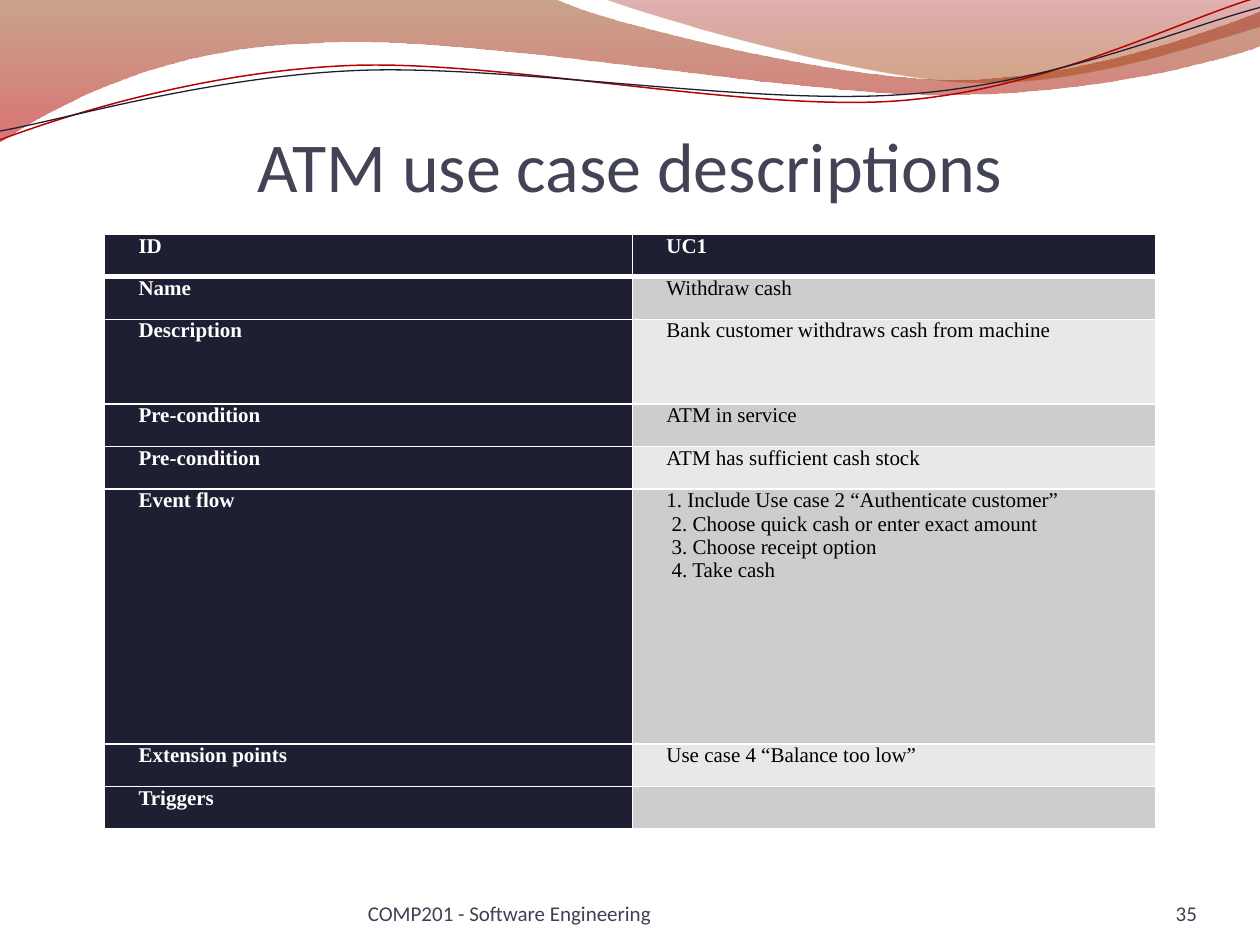
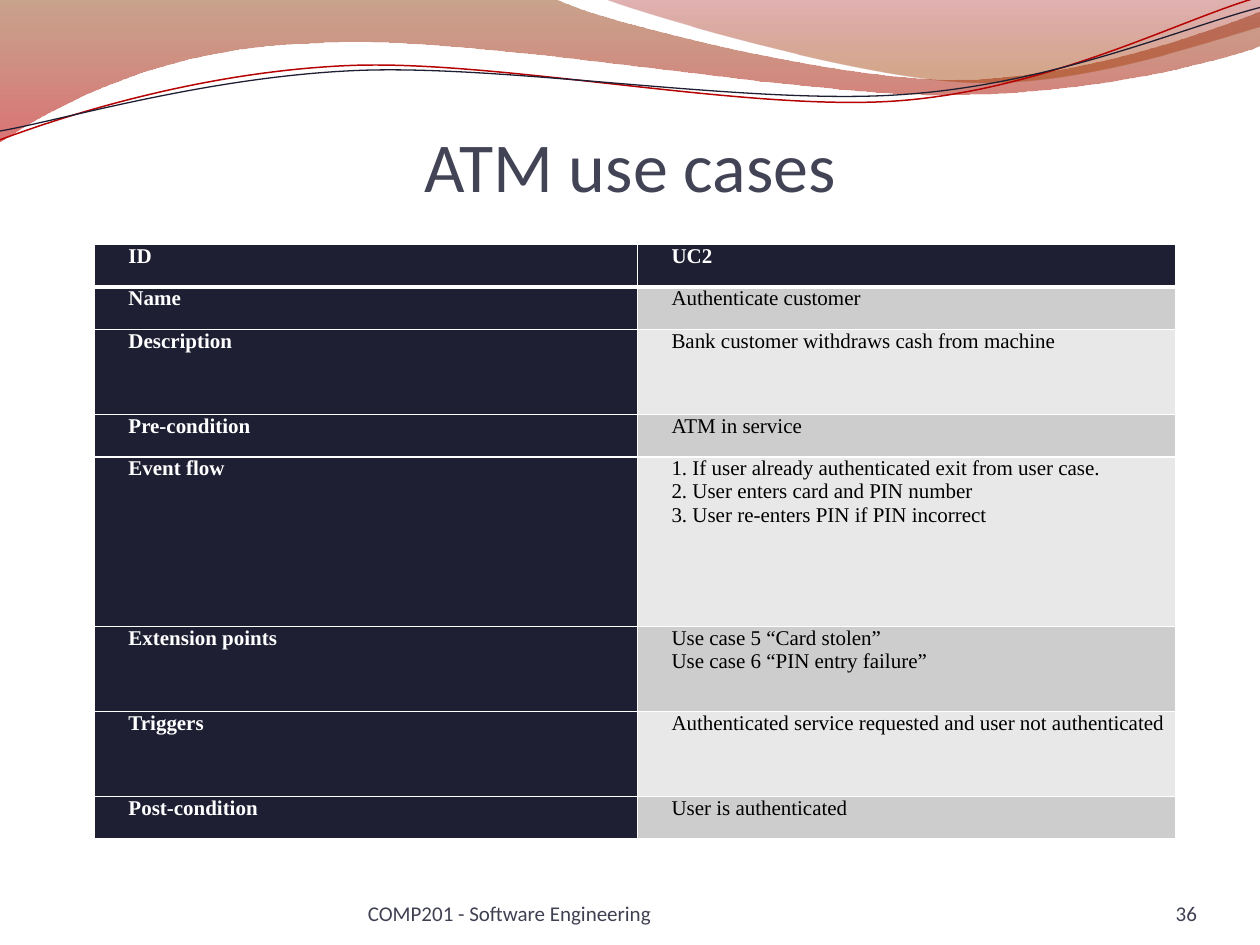
import math
from lxml import etree
from pptx import Presentation, util as u
from pptx.dml.color import RGBColor
from pptx.enum import text
from pptx.oxml.ns import qn

NAVY, WHITE, BLACK = "1F1F33", "FFFFFF", "000000"
TITLE, FOOTER = "424456", "3F4152"
BANDS = ["E8E8E8", "CDCDCE"]
HEAD, BODY = "Calibri", "Times New Roman"
LEFT, CENTER, RIGHT = text.PP_ALIGN.LEFT, text.PP_ALIGN.CENTER, text.PP_ALIGN.RIGHT
TABLE_HEIGHT = 4.72
TILT = 2.7

WAVES = [
    dict(start=(0, 0), stops=[(0, "883400", 45), (1, "BD0000", 55)], segments=[
        [(4.4, -0.01)],
        [(4.76, 0.17), (6.64, 0.63), (7.58, 0.63)],
        [(8.53, 0.63), (9.58, 0.26), (10, 0.09)],
        [(10.01, 0.36)],
        [(9.83, 0.44), (8.7, 0.76), (7.46, 0.75)],
        [(6.22, 0.75), (3.82, 0.28), (2.57, 0.34)],
        [(1.29, 0.36), (0.46, 0.83), (-0.01, 1.13)],
        [(0, 0)]]),
    dict(start=(4.79, -0.01), stops=[(0, "9A0000", 30), (0.8, "A23E00", 45)], segments=[
        [(5.09, 0.11), (6.82, 0.62), (7.69, 0.65)],
        [(8.56, 0.69), (9.61, 0.32), (10, 0.21)],
        [(10, 0)],
        [(4.79, -0.01)]]),
    dict(start=(0, 1.11), line=("B60202", 0.85), center=(4.99, 0.57), segments=[
        [(0.48, 0.93), (1.58, 0.57), (2.77, 0.52)],
        [(3.95, 0.47), (5.93, 0.89), (7.13, 0.8)],
        [(8.33, 0.71), (9.38, 0.15), (9.98, -0.02)]]),
    dict(start=(0, 1.04), line=(NAVY, 0.75), center=(5, 0.59), segments=[
        [(0.47, 0.96), (1.64, 0.61), (2.83, 0.56)],
        [(4.03, 0.51), (5.97, 0.84), (7.17, 0.75)],
        [(8.36, 0.67), (9.41, 0.21), (10, 0.06)]]),
]

SLIDES = [
    dict(title="ATM use case descriptions", number="35", at=(0.83, 1.86), cols=(4.19, 4.15), rows=[
        ("ID", "UC1", 1),
        ("Name", "Withdraw cash", 1),
        ("Description", "Bank customer withdraws cash from machine", 2),
        ("Pre-condition", "ATM in service", 1),
        ("Pre-condition", "ATM has sufficient cash stock", 1),
        ("Event flow", "1. Include Use case 2 “Authenticate customer”\n"
                       " 2. Choose quick cash or enter exact amount\n"
                       " 3. Choose receipt option\n"
                       " 4. Take cash", 6),
        ("Extension points", "Use case 4 “Balance too low”", 1),
        ("Triggers", "", 1)]),
    dict(title="ATM use cases", number="36", at=(0.75, 1.94), cols=(4.31, 4.27), rows=[
        ("ID", "UC2", 1),
        ("Name", "Authenticate customer", 1),
        ("Description", "Bank customer withdraws cash from machine", 2),
        ("Pre-condition", "ATM in service", 1),
        ("Event flow", "1. If user already authenticated exit from user case.\n"
                       "2. User enters card and PIN number\n"
                       "3. User re-enters PIN if PIN incorrect", 4),
        ("Extension points", "Use case 5 “Card stolen”\nUse case 6 “PIN entry failure”", 2),
        ("Triggers", "Authenticated service requested and user not authenticated", 2),
        ("Post-condition", "User is authenticated", 1)]),
]


def rgb(value):
    return RGBColor.from_string(value)


def write(tf, content, size=12, font=HEAD, color=FOOTER, bold=False, align=LEFT, indent=0):
    tf.word_wrap = True
    for i, line in enumerate(content.split("\n")):
        p = tf.add_paragraph() if i else tf.paragraphs[0]
        p.alignment = align
        if indent:
            p._p.get_or_add_pPr().set("marL", str(u.Inches(indent)))
            p._p.get_or_add_pPr().set("indent", "0")
        if line:
            r = p.add_run()
            r.text = line
            r.font.size = u.Pt(size)
            r.font.name = font
            r.font.bold = bold
            r.font.color.rgb = rgb(color)


prs = Presentation()
prs.slide_width, prs.slide_height = u.Inches(10), u.Inches(7.5)
sin, cos = math.sin(math.radians(TILT)), math.cos(math.radians(TILT))

for page in SLIDES:
    s = prs.slides.add_slide(prs.slide_layouts[6])
    s.background.fill.solid()
    s.background.fill.fore_color.rgb = rgb(WHITE)

    for wave in WAVES:
        filled = "stops" in wave
        points = [wave["start"]] + sum(wave["segments"], [])
        if not filled:
            cx, cy = wave["center"]
            points = [(cx + (x - cx) * cos - (y - cy) * sin, cy + (x - cx) * sin + (y - cy) * cos)
                      for x, y in points]
        points = [(u.Inches(x), u.Inches(y)) for x, y in points]
        builder = s.shapes.build_freeform(*points[0])
        builder.add_line_segments(points[1:], close=filled)
        sp = builder.convert_to_shape()
        sp.shadow.inherit = False
        steps = iter(list(sp._element.iter(qn("a:lnTo"))))
        for segment in wave["segments"]:
            curve = next(steps)
            if len(segment) == 3:
                curve.tag = qn("a:cubicBezTo")
                for extra in (next(steps), next(steps)):
                    curve.append(extra[0])
                    extra.getparent().remove(extra)
        if filled:
            sp.line.fill.background()
            sp.fill.gradient()
            sp.fill.gradient_angle = 270
            for stop, (position, color, _) in zip(sp.fill.gradient_stops, wave["stops"]):
                stop.position = position
                stop.color.rgb = rgb(color)
            for clr, (_, _, opacity) in zip(sp._element.iter(qn("a:srgbClr")), wave["stops"]):
                etree.SubElement(clr, qn("a:alpha")).set("val", str(opacity * 1000))
        else:
            color, width = wave["line"]
            sp.rotation = 360 - TILT
            sp.fill.background()
            sp.line.color.rgb = rgb(color)
            sp.line.width = u.Pt(width)

    for content, box, top, style in [
        (page["title"], (0.5, 0.77, 9, 0.87), 0.05, dict(size=40, color=TITLE, align=CENTER)),
        ("COMP201 - Software Engineering", (2.92, 6.95, 3.67, 0.4), 0, {}),
        (page["number"], (8.67, 6.95, 0.83, 0.4), 0, dict(align=RIGHT)),
    ]:
        tf = s.shapes.add_textbox(*map(u.Inches, box)).text_frame
        tf.margin_left = tf.margin_right = tf.margin_bottom = 0
        tf.margin_top = u.Inches(top)
        tf.vertical_anchor = text.MSO_ANCHOR.BOTTOM
        write(tf, content, **style)

    rows, cols = page["rows"], page["cols"]
    unit = TABLE_HEIGHT / sum(row[2] for row in rows)
    box = (*page["at"], sum(cols), TABLE_HEIGHT)
    table = s.shapes.add_table(len(rows), len(cols), *map(u.Inches, box)).table
    for column, width in zip(table.columns, cols):
        column.width = u.Inches(width)
    for i, (*cells, units) in enumerate(rows):
        table.rows[i].height = u.Inches(units * unit)
        for j, content in enumerate(cells):
            cell = table.cell(i, j)
            dark = i == 0 or j == 0
            cell.margin_left = cell.margin_right = u.Inches(0.07)
            cell.margin_top = cell.margin_bottom = 0
            write(cell.text_frame, content, font=BODY, color=WHITE if dark else BLACK, bold=dark, indent=0.2)
            tcPr = cell._tc.get_or_add_tcPr()
            for side in "LRTB":
                thick = (i, side) in [(0, "B"), (1, "T")]
                ln = etree.SubElement(tcPr, qn(f"a:ln{side}"), w=str(u.Pt(3 if thick else 1)))
                fill = etree.SubElement(ln, qn("a:solidFill"))
                etree.SubElement(fill, qn("a:srgbClr"), val=WHITE)
            cell.fill.solid()
            cell.fill.fore_color.rgb = rgb(NAVY if dark else BANDS[i % 2])

prs.save("out.pptx")
